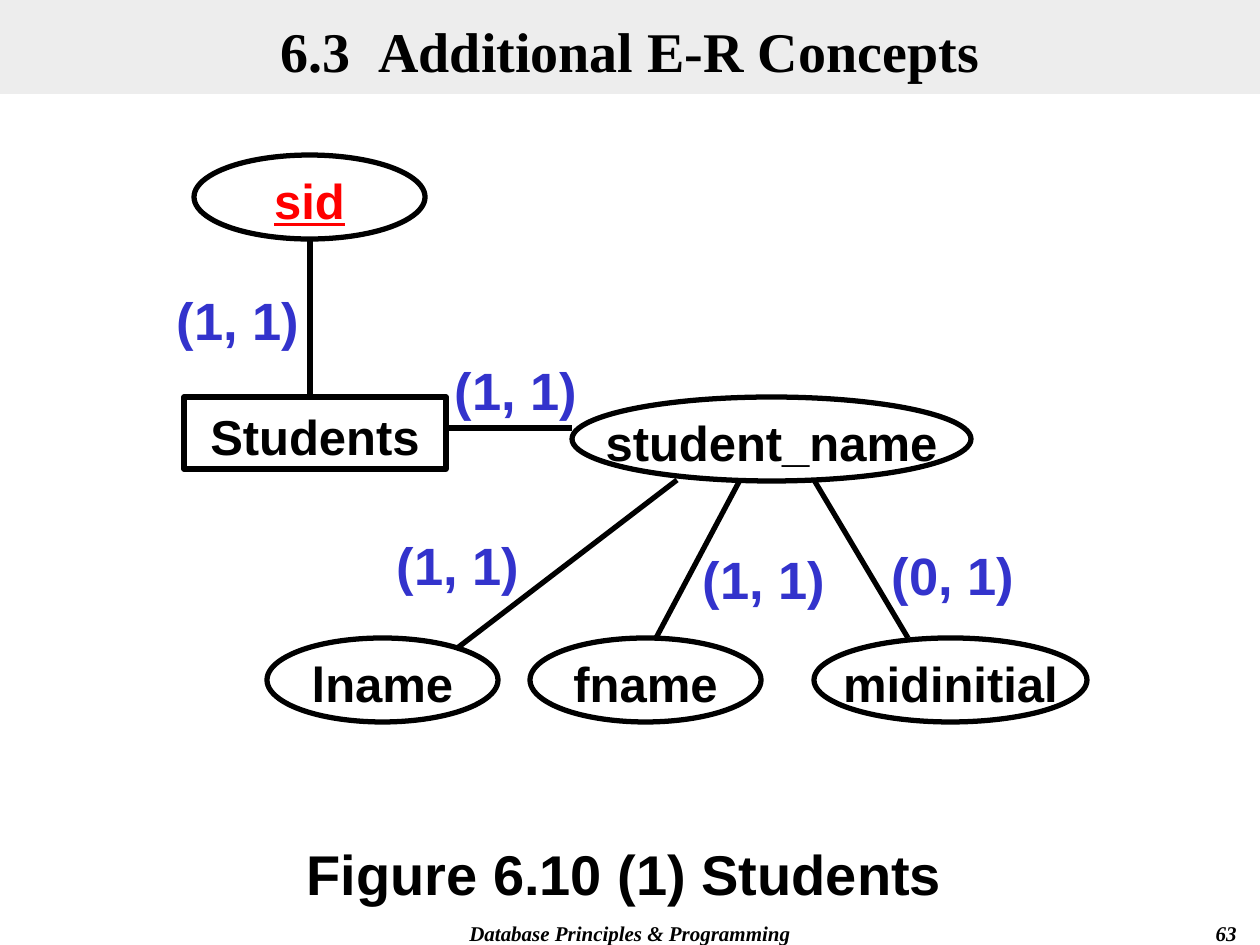
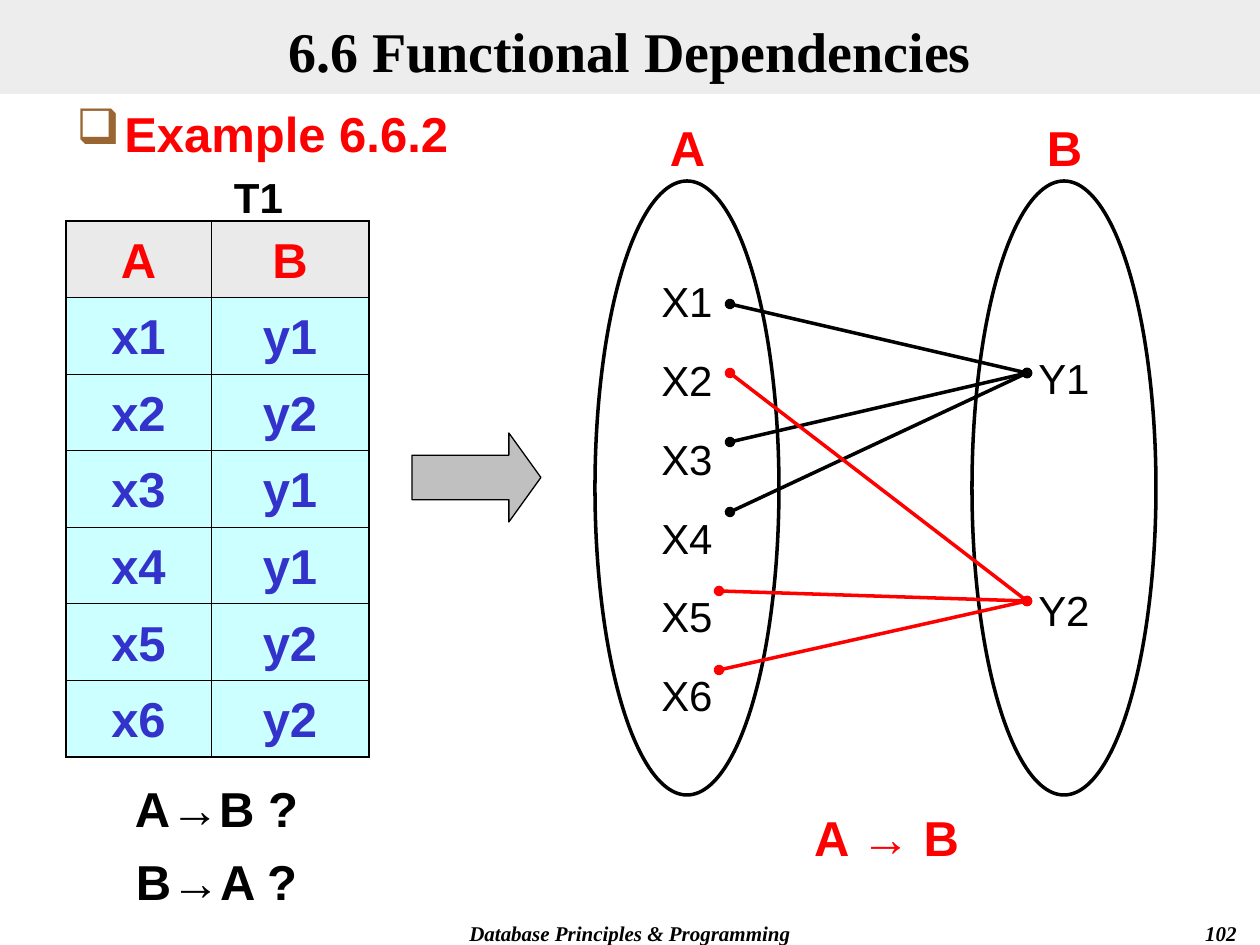
from dataclasses import dataclass
from lxml import etree
from pptx import Presentation
from pptx import util as u
from pptx.dml.color import RGBColor
from pptx.enum import shapes, text
from pptx.oxml.ns import qn

EMU_PER_PX = 914400 / 126
PX_PER_PT = 126 / 72
COLORS = {
    "ink": "000000", "key": "FF0000", "value": "3333CC", "band": "DDDDDD",
    "header": "EAEAEA", "cell": "CCFFFF", "arrow": "C0C0C0", "bullet": "996633",
}
SANS, SERIF = "Arial", "Times New Roman"
LEFT, CENTER, RIGHT = text.PP_ALIGN.LEFT, text.PP_ALIGN.CENTER, text.PP_ALIGN.RIGHT
MIDDLE, TOP = text.MSO_ANCHOR.MIDDLE, text.MSO_ANCHOR.TOP
SHAPE = shapes.MSO_SHAPE


@dataclass(frozen=True)
class Style:
    size: int
    color: str = "ink"
    font: str = SANS
    bold: bool = True
    italic: bool = False
    underline: bool = False


@dataclass(frozen=True)
class Box:
    left: int
    top: int
    width: int
    height: int


@dataclass(frozen=True)
class Link:
    x1: int
    y1: int
    x2: int
    y2: int
    color: str = "ink"


@dataclass(frozen=True)
class Attribute:
    name: str
    box: Box
    style: Style


TITLE = Style(32, font=SERIF)
FOOTER = Style(12, font=SERIF, italic=True)
NODE = Style(28)
KEY_NODE = Style(28, "key", underline=True)
RED = Style(28, "key")
VALUE = Style(28, "value")
CARDINALITY = Style(30, "value")
CAPTION = Style(32)
TABLE_NAME = Style(24)
MEMBER = Style(24, bold=False)


def px(length: float) -> int:
    return round(length * EMU_PER_PX)


def rgb(color: str) -> RGBColor:
    return RGBColor.from_string(COLORS[color])


def top_inset(style: Style) -> int:
    """Standard inset plus a tenth of the letter height."""
    return 6 + round(style.size * PX_PER_PT / 10)


# Text
def add_run(paragraph, words: str, style: Style):
    run = paragraph.add_run()
    run.text = words
    font = run.font
    font.name, font.size = style.font, u.Pt(style.size)
    font.bold, font.italic, font.underline = style.bold, style.italic, style.underline
    font.color.rgb = rgb(style.color)
    return run


def write(shape, lines: list[str], style: Style, align=CENTER, anchor=TOP,
          gap: float = 0, wrap: bool = True, inset: int | None = None) -> None:
    frame = shape.text_frame
    frame.word_wrap, frame.vertical_anchor = wrap, anchor
    frame.margin_left = frame.margin_right = u.Inches(0.1)
    frame.margin_top = px(top_inset(style) if inset is None else inset)
    frame.margin_bottom = px(6)
    for index, words in enumerate(lines):
        paragraph = frame.paragraphs[0] if index == 0 else frame.add_paragraph()
        paragraph.alignment = align
        if index:
            paragraph.space_before = u.Pt(gap)
        add_run(paragraph, words, style)


def add_text(slide, box: Box, lines: list[str], style: Style, align=CENTER, gap: float = 0):
    shape = slide.shapes.add_textbox(px(box.left), px(box.top), px(box.width), px(box.height))
    write(shape, lines, style, align, gap=gap)
    return shape


# Shapes and lines
def add_outline(slide, kind, box: Box, width: float = 0, fill: str = ""):
    shape = slide.shapes.add_shape(kind, px(box.left), px(box.top), px(box.width), px(box.height))
    shape.shadow.inherit = False
    if fill:
        shape.fill.solid()
        shape.fill.fore_color.rgb = rgb(fill)
    else:
        shape.fill.background()
    if width:
        shape.line.color.rgb = rgb("ink")
        shape.line.width = u.Pt(width)
    else:
        shape.line.fill.background()
    return shape


def add_link(slide, link: Link, width: float, dots: bool = False) -> None:
    connector = slide.shapes.add_connector(
        shapes.MSO_CONNECTOR.STRAIGHT, px(link.x1), px(link.y1), px(link.x2), px(link.y2))
    connector.line.color.rgb = rgb(link.color)
    connector.line.width = u.Pt(width)
    properties = connector._element.spPr
    if dots:
        for end in ("a:headEnd", "a:tailEnd"):
            etree.SubElement(properties.find(qn("a:ln")), qn(end), type="oval")
    etree.SubElement(properties, qn("a:effectLst"))


# Title band and footer of every slide
def add_base(presentation, number: str, section: str, heading: str, title_gap: int = 0):
    slide = presentation.slides.add_slide(presentation.slide_layouts[6])
    add_text(slide, Box(357, 913, 546, 32), ["Database Principles & Programming"], FOOTER)
    add_text(slide, Box(987, 913, 262, 32), [number], FOOTER, RIGHT)
    band = add_outline(slide, SHAPE.RECTANGLE, Box(0, 0, 1260, 94), fill="band")
    color = band._element.spPr.find(qn("a:solidFill"))[0]
    etree.SubElement(color, qn("a:alpha"), val="50000")
    write(band, [section], TITLE, anchor=MIDDLE)
    paragraph = band.text_frame.paragraphs[0]
    space = add_run(paragraph, " ", TITLE)
    if title_gap:
        space.font._element.set("spc", str(title_gap * 100))
    add_run(paragraph, heading, TITLE)
    return slide


def build_students(presentation) -> None:
    slide = add_base(presentation, "63", "6.3", "Additional E-R Concepts", title_gap=8)

    # Entity and its attributes
    entity = add_outline(slide, SHAPE.RECTANGLE, Box(184, 397, 262, 72), 3)
    write(entity, ["Students"], NODE, anchor=MIDDLE)
    attributes = [
        Attribute("sid", Box(194, 155, 231, 84), KEY_NODE),
        Attribute("student_name", Box(572, 397, 399, 84), NODE),
        Attribute("lname", Box(267, 638, 231, 84), NODE),
        Attribute("fname", Box(530, 638, 231, 84), NODE),
        Attribute("midinitial", Box(814, 638, 273, 84), NODE),
    ]
    for attribute in attributes:
        oval = add_outline(slide, SHAPE.OVAL, attribute.box, 3)
        write(oval, [attribute.name], attribute.style, anchor=MIDDLE, wrap=False)

    # Links and cardinalities
    for link in (Link(310, 239, 310, 397), Link(572, 428, 446, 428), Link(677, 480, 456, 649),
                 Link(740, 480, 656, 638), Link(814, 480, 908, 638)):
        add_link(slide, link, 3)
    for left, top, words in ((154, 277, "(1, 1)"), (432, 347, "(1, 1)"), (374, 522, "(1, 1)"),
                             (680, 536, "(1, 1)"), (869, 532, "(0, 1)")):
        add_text(slide, Box(left, top, 168, 76), [words], CARDINALITY)
    add_text(slide, Box(84, 828, 1081, 81), ["Figure 6.10 (1) Students"], CAPTION)


def set_borders(cell, widths: dict[str, float]) -> None:
    properties = cell._tc.get_or_add_tcPr()
    for index, (side, width) in enumerate(widths.items()):
        line = etree.Element(qn(f"a:ln{side}"), w=str(u.Pt(width)))
        fill = etree.SubElement(line, qn("a:solidFill"))
        etree.SubElement(fill, qn("a:srgbClr"), val=COLORS["ink"])
        properties.insert(index, line)


def add_value_table(slide, rows: list[tuple[str, str]], box: Box, widths: tuple[int, int]) -> None:
    table = slide.shapes.add_table(len(rows), len(widths), px(box.left), px(box.top),
                                   px(box.width), px(box.height)).table
    table.first_row = table.horz_banding = False
    for column, width in zip(table.columns, widths):
        column.width = px(width)
    thick, thin = 1.08, 0.45
    for r, values in enumerate(rows):
        table.rows[r].height = px(box.height / len(rows))
        for c, value in enumerate(values):
            cell = table.cell(r, c)
            cell.fill.solid()
            cell.fill.fore_color.rgb = rgb("cell" if r else "header")
            cell.vertical_anchor = MIDDLE
            cell.margin_top, cell.margin_bottom = px(10), px(6)
            paragraph = cell.text_frame.paragraphs[0]
            paragraph.alignment = CENTER
            add_run(paragraph, value, VALUE if r else RED)
            set_borders(cell, {
                "L": thin if c else thick,
                "R": thick if c == len(widths) - 1 else thin,
                "T": thin if r else thick,
                "B": thick if r == len(rows) - 1 else thin,
            })


def add_domain(slide, name: str, left: int, members: list[str], inset: int, gap: float) -> None:
    oval = add_outline(slide, SHAPE.OVAL, Box(left, 181, 184, 614), 2)
    write(oval, members, MEMBER, gap=gap, inset=inset)
    add_text(slide, Box(left + 13, 106, 159, 72), [name], RED)


def build_dependencies(presentation) -> None:
    slide = add_base(presentation, "102", "6.6", "Functional Dependencies")

    # Example heading with a box bullet
    body = add_text(slide, Box(64, 92, 1134, 777), [], RED)
    paragraph = body.text_frame.paragraphs[0]
    properties = paragraph._p.get_or_add_pPr()
    properties.set("marL", str(px(48)))
    properties.set("indent", str(-px(48)))
    bullet_color = etree.SubElement(properties, qn("a:buClr"))
    etree.SubElement(bullet_color, qn("a:srgbClr"), val=COLORS["bullet"])
    etree.SubElement(properties, qn("a:buChar"), char="❑")
    add_run(paragraph, "Example 6.6.2", RED)

    # Table T1
    pairs = [(1, 1), (2, 2), (3, 1), (4, 1), (5, 2), (6, 2)]
    rows = [("A", "B")] + [(f"x{x}", f"y{y}") for x, y in pairs]
    add_value_table(slide, rows, Box(66, 221, 303, 536), (145, 158))
    add_text(slide, Box(169, 161, 179, 63), ["T1"], TABLE_NAME)

    # Domains: members stand on rows of equal pitch
    pitch, line_height, first = 43.8, 27.6, 5
    add_domain(slide, "A", 595, [f"X{x}" for x, _ in pairs], first, pitch - line_height)
    add_domain(slide, "B", 972, ["Y1", "Y2"], first + round(pitch * PX_PER_PT),
               3 * pitch - line_height)

    # Mapping from A to B
    starts = {1: (730, 304), 3: (730, 442), 4: (730, 512),
              2: (730, 373), 5: (719, 591), 6: (719, 670)}
    targets = {1: (1027, 373, "ink"), 2: (1027, 601, "key")}
    image = dict(pairs)
    for x, start in starts.items():
        add_link(slide, Link(*start, *targets[image[x]]), 2, dots=True)

    # Arrow and conclusions
    arrow = add_outline(slide, SHAPE.RIGHT_ARROW, Box(412, 433, 129, 89), 0.75, "arrow")
    arrow.adjustments[1] = 0.36
    add_text(slide, Box(776, 796, 221, 72), ["A → B"], RED)
    add_text(slide, Box(106, 767, 221, 142), ["A→B ?", "B→A ?"], NODE, gap=8.5)


def main() -> None:
    presentation = Presentation()
    presentation.slide_width, presentation.slide_height = px(1260), px(945)
    build_students(presentation)
    build_dependencies(presentation)
    presentation.save("out.pptx")


if __name__ == "__main__":
    main()
